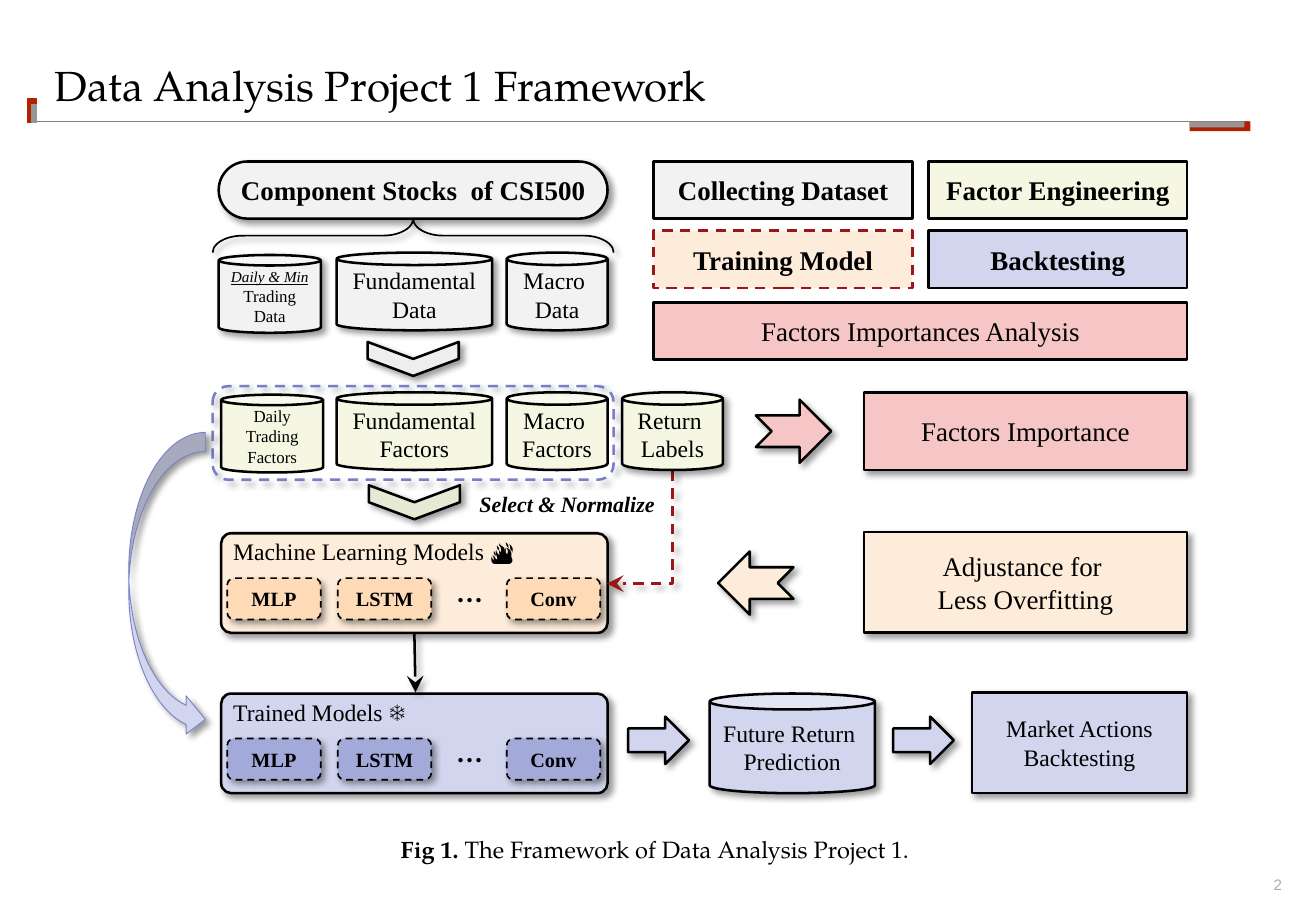
from pptx import Presentation
from pptx.dml.color import RGBColor
from pptx.enum.dml import MSO_LINE
from pptx.enum.shapes import MSO_CONNECTOR, MSO_SHAPE
from pptx.enum.text import MSO_ANCHOR, PP_ALIGN
from pptx.oxml.ns import qn
from pptx.util import Inches, Pt
from lxml.etree import SubElement

COLORS = {
    "black": "000000", "grey": "F2F2F2", "chevron_grey": "EFEEEC",
    "green": "F5F7E3", "chevron_green": "E6EAD5", "orange": "FEECDA",
    "orange_chip": "FEDAB6", "blue": "D1D5ED", "blue_chip": "A3AADA",
    "blue_line": "7580C8", "pink": "F6C5C5", "dark_red": "9B1717",
    "rule": "808080", "accent": "B42100", "accent_grey": "969696",
    "number": "ADABA1",
}
SERIF = "Times New Roman"
TITLE_FONT = "TeX Gyre Pagella"


def rgb(name):
    """Return the named colour."""
    return RGBColor.from_string(COLORS[name])


def set_effects(sp, shadow):
    """Give a shape or connector a soft shadow, or an empty effect list."""
    effects = SubElement(sp._element.spPr, qn("a:effectLst"))
    if shadow:
        outer = SubElement(effects, qn("a:outerShdw"), blurRad=str(Pt(4)),
                           dist=str(Pt(3)), dir="2700000", algn="tl", rotWithShape="0")
        color = SubElement(outer, qn("a:srgbClr"), val=COLORS["black"])
        SubElement(color, qn("a:alpha"), val="40000")


def set_line(sp, color, width, dash=False):
    """Style an outline or a connector."""
    sp.line.color.rgb = rgb(color)
    sp.line.width = Pt(width)
    if dash:
        sp.line.dash_style = MSO_LINE.DASH


def write(sp, paragraphs, size=14, bold=None, italic=None, font=SERIF, color="black",
          align=PP_ALIGN.CENTER, anchor=MSO_ANCHOR.MIDDLE, inset=None):
    """Fill a text frame; a paragraph is a string or a list of (text, font changes)."""
    tf = sp.text_frame
    tf.word_wrap = True
    tf.vertical_anchor = anchor
    if inset is not None:
        tf.margin_left = tf.margin_right = tf.margin_top = tf.margin_bottom = Inches(inset)
    for i, content in enumerate(paragraphs):
        p = tf.add_paragraph() if i else tf.paragraphs[0]
        p.alignment = align
        p.font.size, p.font.name = Pt(size), font
        p.font.bold, p.font.italic = bold, italic
        p.font.color.rgb = rgb(color)
        for text, changes in [(content, {})] if isinstance(content, str) else content:
            r = p.add_run()
            r.text = text
            for key, value in changes.items():
                setattr(r.font, key, value)


def add_text(s, box, paragraphs, **style):
    """Add a text box."""
    write(s.shapes.add_textbox(*map(Inches, box)), paragraphs, **style)


def add_shape(s, kind, box, fill=None, line="black", width=1.5, dash=False,
              shadow=True, adj=(), rotation=0, text=(), **style):
    """Add a preset shape with its outline, shadow and text."""
    sp = s.shapes.add_shape(kind, *map(Inches, box))
    sp.shadow.inherit = False
    sp.rotation = rotation
    for i, value in enumerate(adj):
        sp.adjustments[i] = value
    if fill:
        sp.fill.solid()
        sp.fill.fore_color.rgb = rgb(fill)
    else:
        sp.fill.background()
    if line:
        set_line(sp, line, width, dash)
    else:
        sp.line.fill.background()
    if shadow:
        sp._element.spPr.remove(sp._element.spPr.find(qn("a:effectLst")))
        set_effects(sp, True)
    if text:
        write(sp, text, **style)


def add_can(s, box, fill, text, adj=0.16, **style):
    """Add a data store."""
    add_shape(s, MSO_SHAPE.CAN, box, fill, adj=[adj], text=text, **style)


def add_box(s, box, fill, text, size=16, **style):
    """Add a labelled rectangle."""
    add_shape(s, MSO_SHAPE.RECTANGLE, box, fill, text=text, size=size, inset=0.08, **style)


def add_line(s, start, end, color, width, dash=False, arrow=False, shadow=False,
             kind=MSO_CONNECTOR.STRAIGHT):
    """Add a connector, with an arrowhead if asked."""
    c = s.shapes.add_connector(kind, *map(Inches, start + end))
    set_line(c, color, width, dash)
    if arrow:
        SubElement(c.line._get_or_add_ln(), qn("a:tailEnd"), type="stealth", w="lg", len="lg")
    set_effects(c, shadow)
    return c


def add_models(s, top, fill, chip_fill, label):
    """Add a panel of three models under a label."""
    add_shape(s, MSO_SHAPE.ROUNDED_RECTANGLE, (1.82, top, 3.18, 0.82), fill, adj=[0.1])
    add_text(s, (1.82, top - 0.02, 3.18, 0.34), [label], align=PP_ALIGN.LEFT)
    for left, name in ((1.87, "MLP"), (2.78, "LSTM"), (4.17, "Conv")):
        add_shape(s, MSO_SHAPE.ROUNDED_RECTANGLE, (left, top + 0.37, 0.77, 0.34), chip_fill,
                  width=1, dash=True, text=[name], size=12, bold=True)
    add_text(s, (3.56, top + 0.37, 0.61, 0.34), ["···"], size=16, bold=True)


def add_frame(s):
    """Add the title, its ornaments, the caption and the slide number."""
    add_line(s, (0.3, 1), (10.28, 1), "rule", 1)
    add_line(s, (0.26, 1.01), (0.26, 0.81), "accent", 6)
    add_line(s, (0.28, 1.01), (0.28, 0.86), "accent_grey", 3)
    for size, color in (((0.5, 0.08), "accent"), ((0.45, 0.05), "accent_grey")):
        add_shape(s, MSO_SHAPE.RECTANGLE, (9.79, 1) + size, color, line=None, shadow=False)
    add_text(s, (0.45, 0.4, 7.91, 0.59), ["Data Analysis Project 1 Framework"], size=25,
             font=TITLE_FONT, align=PP_ALIGN.LEFT, inset=0)
    add_text(s, (1.79, 6.87, 7.25, 0.24),
             [[("Fig 1. ", {"bold": True}), ("The Framework of Data Analysis Project 1. ", {})]],
             font=TITLE_FONT, anchor=MSO_ANCHOR.BOTTOM, inset=0)
    add_text(s, (10.24, 7.21, 0.31, 0.15), ["2"], size=9, font="Arial", color="number",
             align=PP_ALIGN.RIGHT, anchor=MSO_ANCHOR.BOTTOM, inset=0)


def add_legend(s):
    """Add the key of stages."""
    for left, top, fill, name, line in (
            (5.38, 1.33, "grey", "Collecting Dataset", "black"),
            (7.64, 1.33, "green", "Factor Engineering", "black"),
            (5.38, 1.9, "orange", "Training Model", "dark_red"),
            (7.64, 1.9, "blue", "Backtesting", "black")):
        add_box(s, (left, top, 2.13, 0.47), fill, [name], bold=True, line=line,
                dash=line == "dark_red", shadow=False)
    add_box(s, (5.38, 2.49, 4.39, 0.47), "pink", ["Factors Importances Analysis"], shadow=False)


def add_data(s):
    """Add the data stores, the factor stores and what joins them."""
    add_shape(s, MSO_SHAPE.ROUNDED_RECTANGLE, (1.8, 1.33, 3.2, 0.47), "grey", adj=[0.5],
              text=["Component Stocks  of CSI500"], size=16, bold=True, inset=0.08)
    add_shape(s, MSO_SHAPE.LEFT_BRACE, (3.26, 0.29, 0.28, 3.3), width=1,
              adj=[0.885, 0.5], rotation=90)
    daily = ("Daily & Min ", {"size": Pt(9), "italic": True, "underline": True})
    for top, fill, noun, left, first, inset, shadow in (
            (2.08, "grey", "Data", 1.8, [daily, ("Trading", {})], 0.04, True),
            (3.23, "green", "Factors", 1.82, "Daily Trading", None, False)):
        add_can(s, (left, top + 0.02, 0.84, 0.64), fill, [first, noun], adj=0.135,
                size=10, inset=inset, shadow=shadow)
        add_can(s, (2.77, top, 1.28, 0.64), fill, ["Fundamental", noun], shadow=shadow)
        add_can(s, (4.17, top, 0.83, 0.64), fill, ["Macro ", noun], shadow=shadow)
    for left, top, fill in ((3.26, 2.58, "chevron_grey"), (3.27, 3.76, "chevron_green")):
        add_shape(s, MSO_SHAPE.CHEVRON, (left, top, 0.28, 0.75), fill, rotation=90)
    add_shape(s, MSO_SHAPE.ROUNDED_RECTANGLE, (1.75, 3.18, 3.3, 0.77), line="blue_line", dash=True)


def add_training(s):
    """Add the models, the labels they learn from and their arrows."""
    add_models(s, 4.39, "orange", "orange_chip",
               [("Machine Learning Models ", {}), ("🔥", {"bold": True})])
    add_models(s, 5.71, "blue", "blue_chip", [("Trained Models ", {}), ("❄️", {"name": "Arial"})])
    c = add_line(s, (4.8, 4.07), (5.73, 4.61), "dark_red", 1.5, dash=True, arrow=True,
                 shadow=True, kind=MSO_CONNECTOR.ELBOW)
    c._element.spPr.find(qn("a:xfrm")).set("rot", "5400000")
    c._element.spPr.find(qn("a:prstGeom")).set("prst", "bentConnector2")
    add_can(s, (5.12, 3.23, 0.83, 0.64), "green", ["Return ", "Labels"])
    add_line(s, (3.41, 5.21), (3.42, 5.7), "black", 1.5, arrow=True, shadow=True)
    add_text(s, (3.8, 3.99, 1.73, 0.32), ["Select & Normalize"], size=13, bold=True, italic=True)
    add_shape(s, MSO_SHAPE.CURVED_RIGHT_ARROW, (1.06, 3.56, 0.63, 2.52), "blue",
              line="blue_line", width=0.5)


def add_results(s):
    """Add the predictions, the backtest and the factor analysis."""
    add_can(s, (5.84, 5.71, 1.36, 0.82), "blue", ["Future Return ", "Prediction"])
    for left in (5.17, 7.35):
        add_shape(s, MSO_SHAPE.RIGHT_ARROW, (left, 5.9, 0.5, 0.39), "blue")
    add_box(s, (8, 5.7, 1.77, 0.83), "blue", ["Market Actions", "Backtesting"], size=14)
    for left, top, fill, rotation in ((6.22, 3.29, "pink", 0), (5.91, 4.54, "orange", 180)):
        add_shape(s, MSO_SHAPE.NOTCHED_RIGHT_ARROW, (left, top, 0.62, 0.52), fill,
                  rotation=rotation)
    add_box(s, (7.11, 3.23, 2.66, 0.64), "pink", ["Factors Importance"])
    add_box(s, (7.11, 4.38, 2.66, 0.83), "orange", ["Adjustance for ", "Less Overfitting"])


def main():
    """Build the slide and save it."""
    prs = Presentation()
    prs.slide_width, prs.slide_height = Inches(10.83), Inches(7.5)
    s = prs.slides.add_slide(prs.slide_layouts[6])
    for add_part in (add_frame, add_legend, add_data, add_training, add_results):
        add_part(s)
    prs.save("out.pptx")


if __name__ == "__main__":
    main()
